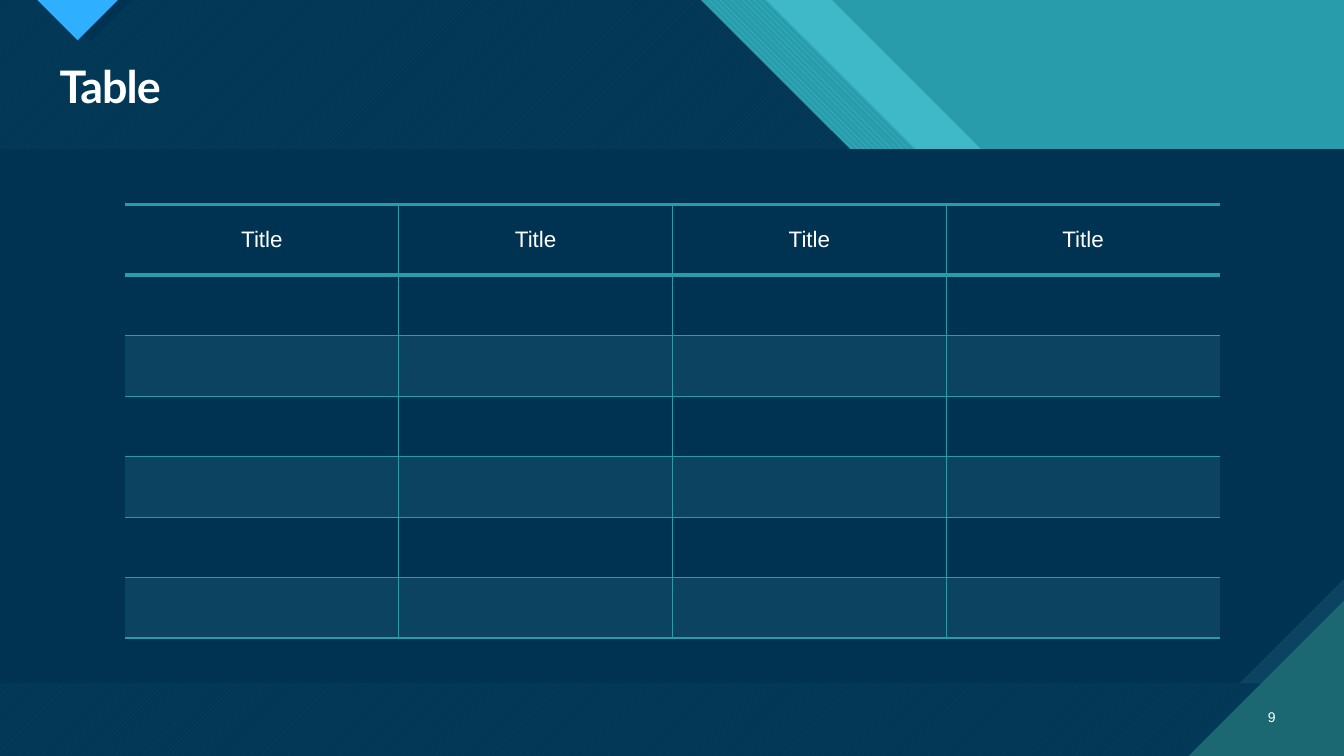
from dataclasses import dataclass

from lxml import etree
from pptx import Presentation
from pptx import util as u
from pptx.dml.color import RGBColor
from pptx.enum import dml, text
from pptx.oxml import ns


@dataclass(frozen=True)
class Theme:
    navy: str = "003352"
    slate: str = "0C4360"
    teal: str = "299CAB"
    aqua: str = "47C3D3"
    pine: str = "1B6872"
    blue: str = "2FAFFF"
    white: str = "FFFFFF"
    heading_font: str = "Lato"
    body_font: str = "Arial"
    title_size: int = 32
    header_size: int = 16
    number_size: int = 10


THEME = Theme()
WIDTH, HEIGHT = 13.33, 7.5
BAND_TOP, BAND_BOTTOM = 1.48, 6.78
COLUMNS, BODY_ROWS = 4, 6
HEADER_HEIGHT, ROW_HEIGHT = 0.7, 0.6
HEADINGS = ["Title"] * COLUMNS


def rgb(value):
    return RGBColor.from_string(value)


def lengths(*values):
    return [u.Inches(value) for value in values]


def style_text(frame, content, size, font, align, bold=False):
    frame.text = content
    frame.word_wrap = True
    frame.vertical_anchor = text.MSO_ANCHOR.MIDDLE
    paragraph = frame.paragraphs[0]
    paragraph.alignment = align
    run = paragraph.runs[0]
    formats = {"size": u.Pt(size), "name": font, "bold": bold}
    for name, value in formats.items():
        setattr(run.font, name, value)
    run.font.color.rgb = rgb(THEME.white)
    return run


def add_panel(slide, points, color, alpha=None, pattern=None, back=None):
    """Draw a borderless polygon, solid, translucent or hatched."""
    start, *rest = [lengths(*point) for point in points]
    builder = slide.shapes.build_freeform(*start)
    builder.add_line_segments(rest, close=True)
    panel = builder.convert_to_shape()
    panel.shadow.inherit = False
    panel.line.fill.background()
    if pattern:
        panel.fill.patterned()
        panel.fill.pattern = pattern
        panel.fill.fore_color.rgb = rgb(color)
        panel.fill.back_color.rgb = rgb(back)
    else:
        panel.fill.solid()
        panel.fill.fore_color.rgb = rgb(color)
    if alpha:
        tint = panel.fill._xPr.find(".//" + ns.qn("a:srgbClr"))
        etree.SubElement(tint, ns.qn("a:alpha"), val=str(alpha * 1000))


def slanted(top_right, shoulder, right_bottom):
    """Outline of a layer whose right edge runs down at 45 degrees."""
    knee = 2.97
    return [(0, 0), (top_right, 0), (top_right + knee, knee), (shoulder, knee),
            (WIDTH, right_bottom), (WIDTH, HEIGHT), (0, HEIGHT)]


def add_backdrop(slide):
    slide.background.fill.solid()
    slide.background.fill.fore_color.rgb = rgb(THEME.teal)

    # Diagonal header layers
    dark = slanted(6.95, 11.18, 5.12)
    add_panel(slide, slanted(8.25, 12.34, 3.96), THEME.aqua, alpha=74)
    add_panel(slide, slanted(7.6, 11.84, 4.47), THEME.aqua,
              pattern=dml.MSO_PATTERN.WIDE_DOWNWARD_DIAGONAL, back=THEME.teal)
    add_panel(slide, dark, THEME.aqua,
              pattern=dml.MSO_PATTERN.WIDE_UPWARD_DIAGONAL, back=THEME.pine)
    add_panel(slide, dark, THEME.navy, alpha=90)

    # Pointer at the top edge, with its shade
    add_panel(slide, [(0.48, 0), (1.31, 0), (0.9, 0.41)], THEME.navy)
    add_panel(slide, [(0.37, 0), (1.17, 0), (0.77, 0.4)], THEME.blue)

    # Content band with a cut corner, and the corner triangle
    for cut, color in ((0, THEME.slate), (1.04, THEME.navy)):
        add_panel(slide, [(0, BAND_TOP), (WIDTH, BAND_TOP),
                          (WIDTH, BAND_BOTTOM - cut),
                          (WIDTH - cut, BAND_BOTTOM), (0, BAND_BOTTOM)], color)
    corner = 1.54
    add_panel(slide, [(WIDTH - corner, HEIGHT), (WIDTH, HEIGHT),
                      (WIDTH, HEIGHT - corner)], THEME.pine)


def add_title(slide, content):
    title = slide.shapes.title
    title.left, title.top, title.width, title.height = lengths(0.49, 0.59, 12.26, 0.59)
    run = style_text(title.text_frame, content, THEME.title_size,
                     THEME.heading_font, text.PP_ALIGN.LEFT, bold=True)
    title.text_frame.paragraphs[0].line_spacing = 0.9
    run.font._element.set("spc", "-70")
    # Bring the title in front of the backdrop
    slide.shapes._spTree.append(title._element)


def set_borders(cell, widths):
    """Set the edges of a cell; a width of 0 hides the edge."""
    properties = cell._tc.get_or_add_tcPr()
    for place, (edge, width) in enumerate(widths.items()):
        line = etree.Element(ns.qn("a:ln" + edge), w=str(u.Pt(width)))
        if width:
            fill = etree.SubElement(line, ns.qn("a:solidFill"))
            etree.SubElement(fill, ns.qn("a:srgbClr"), val=THEME.teal)
        else:
            etree.SubElement(line, ns.qn("a:noFill"))
        properties.insert(place, line)


def add_grid(slide):
    height = HEADER_HEIGHT + BODY_ROWS * ROW_HEIGHT
    grid = slide.shapes.add_table(BODY_ROWS + 1, COLUMNS,
                                  *lengths(1.24, 2.03, 10.86, height)).table
    grid.first_row = grid.horz_banding = False
    for index, row in enumerate(grid.rows):
        row.height = u.Inches(ROW_HEIGHT if index else HEADER_HEIGHT)
        for column, cell in enumerate(row.cells):
            if index and index % 2 == 0:
                cell.fill.solid()
                cell.fill.fore_color.rgb = rgb(THEME.slate)
            else:
                cell.fill.background()
            set_borders(cell, {"L": int(column > 0),
                               "R": int(column < COLUMNS - 1),
                               "T": 3 if index < 2 else 1,
                               "B": 1 if index else 3})
    for cell, heading in zip(grid.rows[0].cells, HEADINGS):
        style_text(cell.text_frame, heading, THEME.header_size,
                   THEME.body_font, text.PP_ALIGN.CENTER)
        cell.vertical_anchor = text.MSO_ANCHOR.MIDDLE


def add_page_number(slide, number):
    label = slide.shapes.add_textbox(*lengths(12.31, 6.91, 0.44, 0.4))
    style_text(label.text_frame, number, THEME.number_size,
               THEME.body_font, text.PP_ALIGN.RIGHT)


def main():
    deck = Presentation()
    deck.slide_width, deck.slide_height = lengths(WIDTH, HEIGHT)
    slide = deck.slides.add_slide(deck.slide_layouts.get_by_name("Title Only"))
    add_backdrop(slide)
    add_title(slide, "Table")
    add_grid(slide)
    add_page_number(slide, "9")
    deck.save("out.pptx")


if __name__ == "__main__":
    main()
